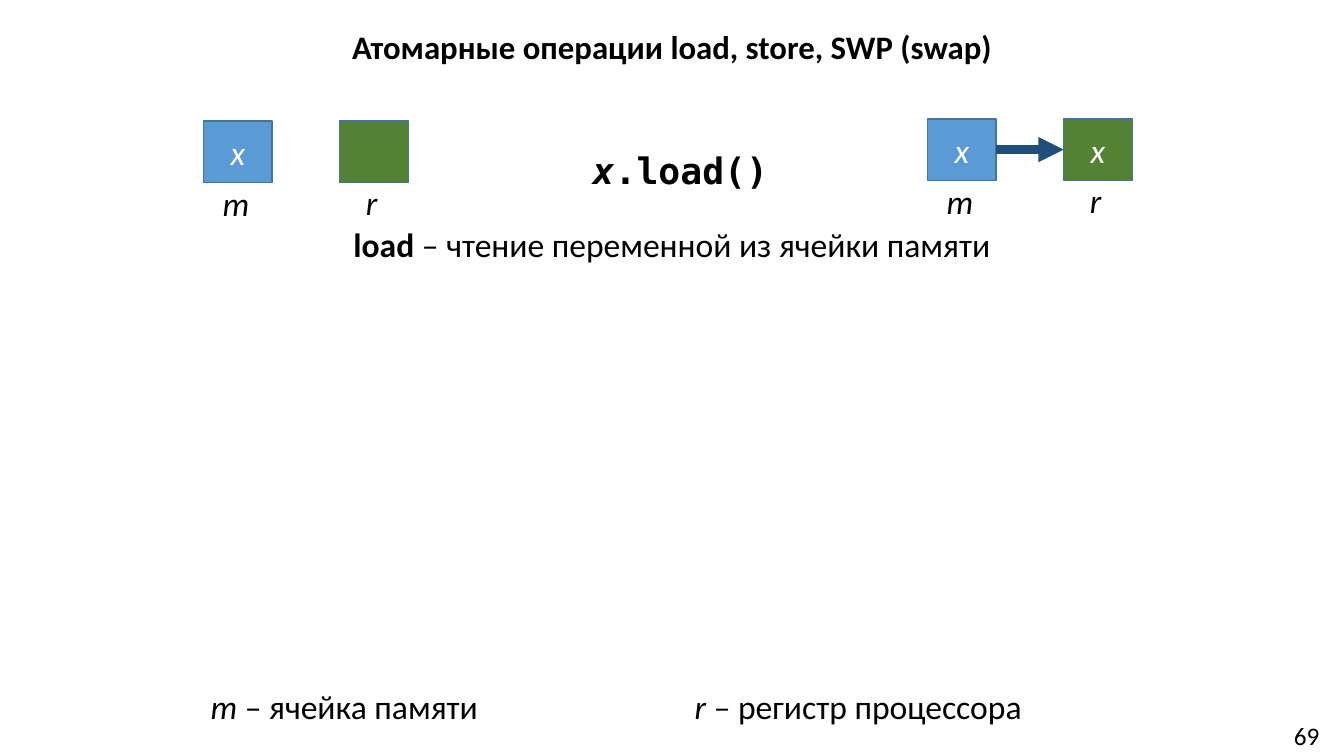
from lxml import etree
from pptx import Presentation
from pptx.dml.color import RGBColor
from pptx.enum.shapes import MSO_CONNECTOR, MSO_SHAPE
from pptx.enum.text import MSO_ANCHOR, MSO_AUTO_SIZE, PP_ALIGN
from pptx.oxml.ns import qn
from pptx.util import Inches, Pt

RECTANGLE = MSO_SHAPE.RECTANGLE
STRAIGHT = MSO_CONNECTOR.STRAIGHT
CENTER, LEFT = PP_ALIGN.CENTER, PP_ALIGN.LEFT
TOP, MIDDLE = MSO_ANCHOR.TOP, MSO_ANCHOR.MIDDLE
NO_AUTOSIZE = MSO_AUTO_SIZE.NONE
TITLE_ONLY = 5

COLORS = {
    "text": "000000",
    "cell_text": "FFFFFF",
    "memory": "5B9BD5",
    "register": "548235",
    "outline": "43739E",
    "arrow": "1F4E79",
}
SANS, MONO = "Calibri", "DejaVu Sans Mono"
CELL_WIDTH, CELL_HEIGHT, CELL_STEP = 0.68, 0.61, 1.35


def color(name):
    """Return the named palette colour."""
    return RGBColor.from_string(COLORS[name])


def write(shape, runs, size=24, font=SANS, ink="text", align=LEFT,
          anchor=TOP, wrap=True, spacing=None):
    """Fill a shape with one paragraph of (text, style) runs, style holding b or i."""
    frame = shape.text_frame
    frame.word_wrap = wrap
    frame.auto_size = NO_AUTOSIZE
    frame.vertical_anchor = anchor
    paragraph = frame.paragraphs[0]
    paragraph.alignment = align
    paragraph.line_spacing = spacing
    paragraph.font.name = font
    paragraph.font.size = Pt(size)
    paragraph.font.color.rgb = color(ink)
    for text, style in runs:
        run = paragraph.add_run()
        run.text = text
        run.font.bold = "b" in style
        run.font.italic = "i" in style


def add_text(slide, box, runs, **options):
    """Add a text box at the given box in inches."""
    shape = slide.shapes.add_textbox(*map(Inches, box))
    write(shape, runs, **options)


def add_title(slide, box, text):
    """Move and format the title placeholder."""
    title = slide.shapes.title
    title.left, title.top, title.width, title.height = map(Inches, box)
    write(title, [(text, "b")], size=23.4, align=CENTER, spacing=0.9)


def add_cell(slide, left, top, fill, value):
    """Add a storage cell holding an optional value."""
    cell = slide.shapes.add_shape(
        RECTANGLE, *map(Inches, (left, top, CELL_WIDTH, CELL_HEIGHT)))
    cell.shadow.inherit = False
    cell.fill.solid()
    cell.fill.fore_color.rgb = color(fill)
    cell.line.color.rgb = color("outline")
    cell.line.width = Pt(1)
    if value:
        write(cell, [(value, "i")], ink="cell_text", align=CENTER, anchor=MIDDLE)
    return cell


def add_arrow(slide, source, target):
    """Join the right side of one cell to the left side of another."""
    arrow = slide.shapes.add_connector(STRAIGHT, 0, 0, 0, 0)
    arrow.begin_connect(source, 3)
    arrow.end_connect(target, 1)
    arrow.line.color.rgb = color("arrow")
    arrow.line.width = Pt(6)
    etree.SubElement(arrow.line._get_or_add_ln(), qn("a:tailEnd"), type="triangle")
    etree.SubElement(arrow._element.spPr, qn("a:effectLst"))


def add_state(slide, left, top, register_value=""):
    """Draw memory m and register r, with an arrow once the register is loaded."""
    memory = add_cell(slide, left, top, "memory", "x")
    register = add_cell(slide, left + CELL_STEP, top, "register", register_value)
    add_text(slide, (left + 0.09, top + 0.57, 0.45, 0.44), [("m", "i")], wrap=False)
    add_text(slide, (left + CELL_STEP + 0.16, top + 0.56, 0.31, 0.44),
             [("r", "i")], wrap=False)
    if register_value:
        add_arrow(slide, memory, register)


def add_load_operation(slide):
    """Show the load call between its states, with its description."""
    add_state(slide, 2.02, 1.2)
    add_text(slide, (5.78, 1.42, 1.7, 0.46), [("x", "bi"), (".load()", "b")],
             size=26, font=MONO, wrap=False)
    add_state(slide, 9.2, 1.18, "x")
    add_text(slide, (1.19, 2.22, 10.95, 0.58),
             [("load", "b"), (" – чтение переменной из ячейки памяти", "")],
             align=CENTER, spacing=0.9)


def add_legend(slide, top):
    """Explain the letters m and r."""
    add_text(slide, (1.99, top, 4.09, 0.5), [("m", "i"), (" – ячейка памяти", "")])
    add_text(slide, (6.79, top, 4.29, 0.5),
             [("r – ", "i"), ("регистр процессора", "")])


def main():
    """Build and save the slide."""
    presentation = Presentation()
    presentation.slide_width, presentation.slide_height = Inches(13.33), Inches(7.5)
    slide = presentation.slides.add_slide(presentation.slide_layouts[TITLE_ONLY])
    add_title(slide, (0, 0.26, 13.33, 0.67),
              "Атомарные операции load, store, SWP (swap)")
    add_load_operation(slide)
    add_legend(slide, 6.76)
    add_text(slide, (12.58, 7.07, 0.76, 0.45), [("69", "")],
             size=18, align=CENTER, anchor=MIDDLE)
    presentation.save("out.pptx")


if __name__ == "__main__":
    main()
